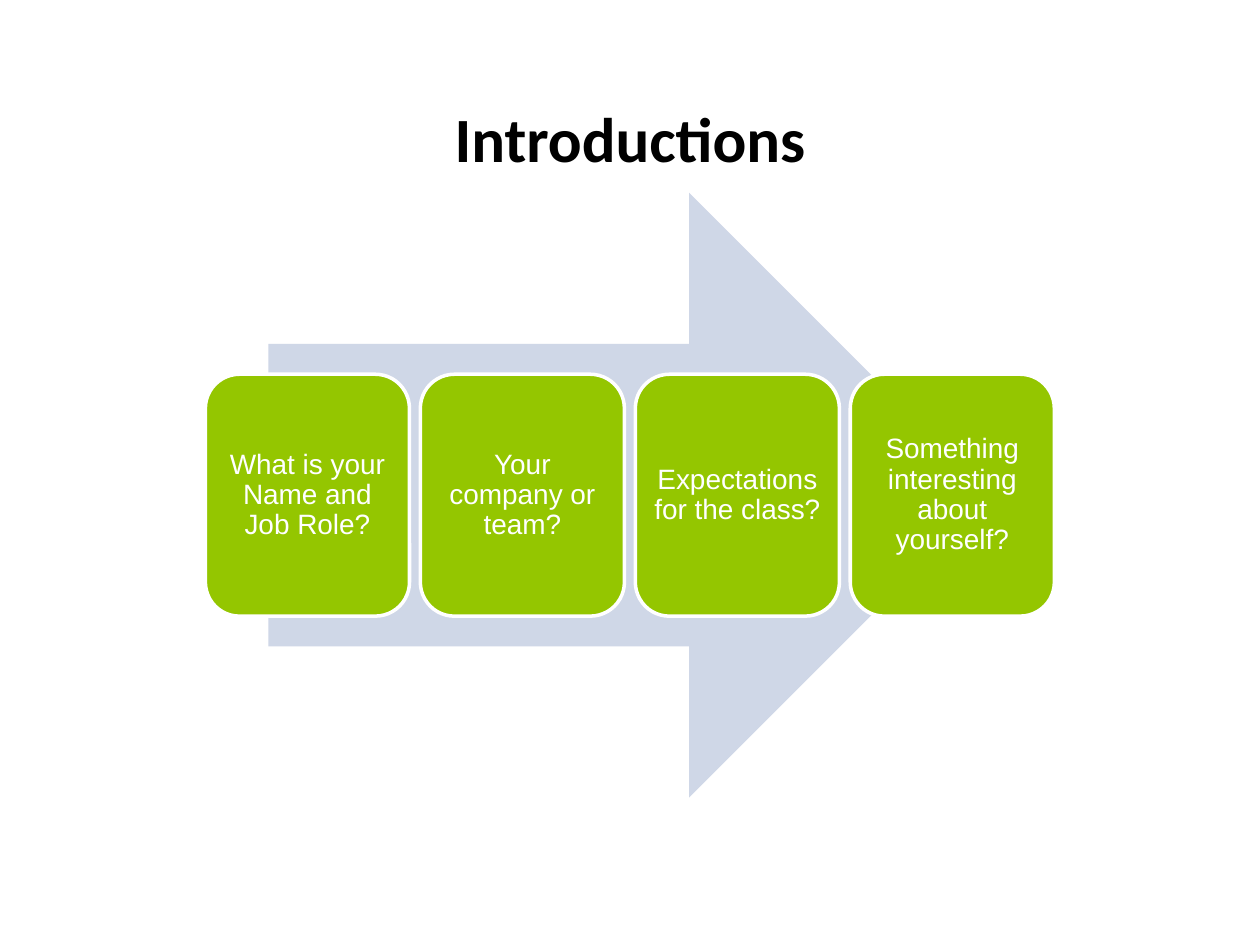
from dataclasses import dataclass

from pptx import Presentation
from pptx.dml.color import RGBColor
from pptx.enum.shapes import MSO_SHAPE
from pptx.enum.text import MSO_ANCHOR, PP_ALIGN
from pptx.util import Inches, Pt

ARROW = MSO_SHAPE.RIGHT_ARROW
ROUNDED = MSO_SHAPE.ROUNDED_RECTANGLE
MIDDLE = MSO_ANCHOR.MIDDLE
CENTER = PP_ALIGN.CENTER


@dataclass(frozen=True)
class Theme:
    black: RGBColor = RGBColor.from_string("000000")
    white: RGBColor = RGBColor.from_string("FFFFFF")
    green: RGBColor = RGBColor.from_string("94C600")
    pale_blue: RGBColor = RGBColor.from_string("CFD7E7")
    title_font: str = "Calibri"
    card_font: str = "Arial"
    title_size: int = 36
    card_size: int = 16
    outline: int = 2


THEME = Theme()
QUESTIONS = [
    "What is your Name and Job Role?",
    "Your company or team?",
    "Expectations for the class?",
    "Something interesting about yourself?",
]
CARD_LEFT, CARD_TOP = 1.63, 2.97
CARD_WIDTH, CARD_HEIGHT = 1.62, 1.92
CARD_STEP = 1.706


def set_text(sp, text, font, size, color, bold=False):
    tf = sp.text_frame
    tf.word_wrap = True
    tf.vertical_anchor = MIDDLE
    p = tf.paragraphs[0]
    p.text = text
    p.alignment = CENTER
    p.line_spacing = 0.9
    r = p.runs[0]
    r.font.name = font
    r.font.size = Pt(size)
    r.font.bold = bold
    r.font.color.rgb = color


def add_filled_shape(slide, kind, left, top, width, height, color):
    sp = slide.shapes.add_shape(
        kind, Inches(left), Inches(top), Inches(width), Inches(height)
    )
    sp.shadow.inherit = False
    sp.fill.solid()
    sp.fill.fore_color.rgb = color
    return sp


def add_title(slide, text):
    sp = slide.shapes.add_textbox(
        Inches(0.69), Inches(0.4), Inches(8.62), Inches(1.45)
    )
    set_text(sp, text, THEME.title_font, THEME.title_size, THEME.black, bold=True)


def add_arrow(slide):
    sp = add_filled_shape(slide, ARROW, 2.13, 1.53, 5.74, 4.8, THEME.pale_blue)
    sp.line.fill.background()


def add_card(slide, left, text):
    sp = add_filled_shape(
        slide, ROUNDED, left, CARD_TOP, CARD_WIDTH, CARD_HEIGHT, THEME.green
    )
    sp.adjustments[0] = 0.167
    sp.line.color.rgb = THEME.white
    sp.line.width = Pt(THEME.outline)
    tf = sp.text_frame
    tf.margin_left = tf.margin_right = Inches(0.07)
    tf.margin_top = tf.margin_bottom = Inches(0.07)
    set_text(sp, text, THEME.card_font, THEME.card_size, THEME.white)


def main():
    prs = Presentation()
    prs.slide_width = Inches(10)
    prs.slide_height = Inches(7.5)
    slide = prs.slides.add_slide(prs.slide_layouts[6])
    add_title(slide, "Introductions")
    add_arrow(slide)
    for i, question in enumerate(QUESTIONS):
        add_card(slide, CARD_LEFT + i * CARD_STEP, question)
    prs.save("out.pptx")


if __name__ == "__main__":
    main()
